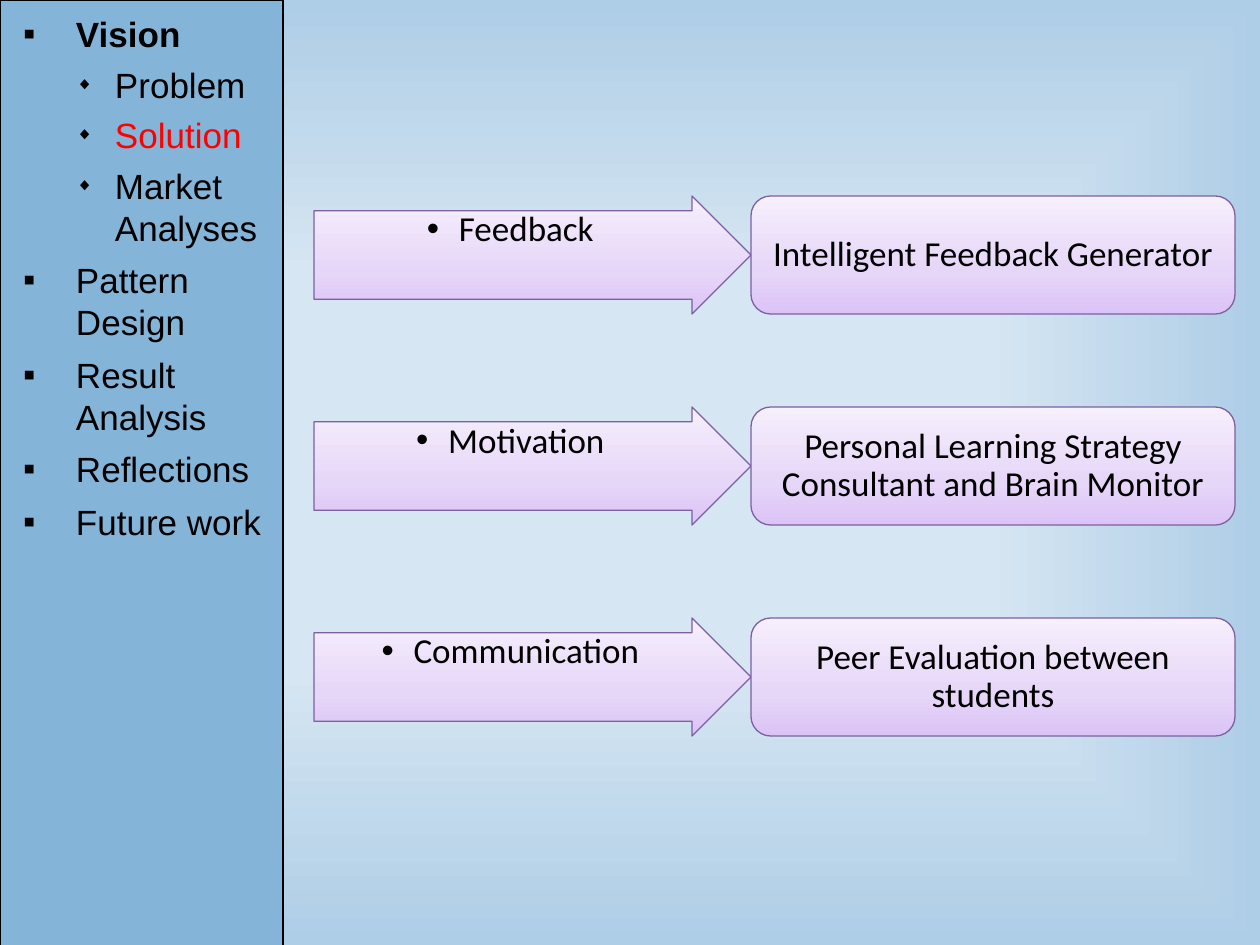
"""Build the solution slide: an outline sidebar beside three need-to-answer arrows."""
from lxml import etree
from pptx import Presentation, util as u
from pptx.dml.color import RGBColor
from pptx.enum import shapes, text
from pptx.oxml import ns

PX = 914400 / 126
BLACK = "000000"
LILAC = [(0, "DBC3F7", 100), (35, "E6D6F8", 100), (100, "F6EFFC", 100)]
SKY = [(42, "D6E6F2", 92), (100, "AECDE6", 100)]
NEEDS = [
    ("Feedback", "Intelligent Feedback Generator"),
    ("Motivation", "Personal Learning Strategy Consultant and Brain Monitor"),
    ("Communication", "Peer Evaluation between students"),
]
OUTLINE = [
    ("Vision", 0), ("Problem", 1), ("Solution", 1), ("Market Analyses", 1),
    ("Pattern Design", 0), ("Result Analysis", 0), ("Reflections", 0), ("Future work", 0),
]


def add_gradient(parent, stops):
    gradient = etree.Element(ns.qn("a:gradFill"), rotWithShape="1")
    stop_list = etree.SubElement(gradient, ns.qn("a:gsLst"))
    for position, color, opacity in stops:
        stop = etree.SubElement(stop_list, ns.qn("a:gs"), pos=str(position * 1000))
        value = etree.SubElement(stop, ns.qn("a:srgbClr"), val=color)
        if opacity < 100:
            etree.SubElement(value, ns.qn("a:alpha"), val=str(opacity * 1000))
    parent.replace(parent.find(ns.qn("a:noFill")), gradient)
    return gradient


def add_bullet(paragraph, character, margin, indent, level, percent=100):
    paragraph.level = level
    properties = paragraph._p.get_or_add_pPr()
    properties.set("marL", str(round(margin * PX)))
    properties.set("indent", str(round(indent * PX)))
    color = etree.SubElement(properties, ns.qn("a:buClr"))
    etree.SubElement(color, ns.qn("a:srgbClr"), val=BLACK)
    etree.SubElement(properties, ns.qn("a:buSzPct"), val=str(percent * 1000))
    etree.SubElement(properties, ns.qn("a:buFont"), typeface="Arial")
    etree.SubElement(properties, ns.qn("a:buChar"), char=character)


presentation = Presentation()
presentation.slide_width = round(1260 * PX)
presentation.slide_height = round(945 * PX)
slide = presentation.slides.add_slide(presentation.slide_layouts[6])

slide.background.fill.background()
sky = add_gradient(next(slide.element.iter(ns.qn("p:bgPr"))), SKY)
sky_path = etree.SubElement(sky, ns.qn("a:path"), attrib={"path": "shape"})
center = dict.fromkeys("ltrb", "50000")
etree.SubElement(sky_path, ns.qn("a:fillToRect"), attrib=center)

for row, (need, answer) in enumerate(NEEDS):
    group = slide.shapes.add_group_shape()
    top = 196 + 211 * row
    for kind, left, width, label in (
        (shapes.MSO_SHAPE.RIGHT_ARROW, 314, 437, need),
        (shapes.MSO_SHAPE.ROUNDED_RECTANGLE, 751, 484, answer),
    ):
        is_arrow = label == need
        box = [round(value * PX) for value in (left, top, width, 118)]
        shape = group.shapes.add_shape(kind, *box)
        shape.shadow.inherit = False
        if is_arrow:
            shape.adjustments[0] = 0.75
        shape.fill.background()
        lilac = add_gradient(shape._element.spPr, LILAC)
        etree.SubElement(lilac, ns.qn("a:lin"), ang="16200000", scaled="0")
        shape.line.color.rgb = RGBColor.from_string("7C60A0")
        shape.line.width = u.Pt(0.75)
        frame = shape.text_frame
        frame.word_wrap = True
        frame.vertical_anchor = text.MSO_ANCHOR.TOP if is_arrow else text.MSO_ANCHOR.MIDDLE
        frame.margin_left = frame.margin_right = round((1 if is_arrow else 10) * PX)
        frame.margin_top = frame.margin_bottom = round((1 if is_arrow else 5) * PX)
        frame.text = label
        paragraph = frame.paragraphs[0]
        if is_arrow:
            add_bullet(paragraph, "•", 32, -32, 1)
        paragraph.alignment = text.PP_ALIGN.CENTER
        paragraph.line_spacing = 0.9
        paragraph.space_after = u.Pt(3 if is_arrow else 7)
        font = paragraph.runs[0].font
        font.name, font.size = "Calibri", u.Pt(20)
        font.color.rgb = RGBColor.from_string(BLACK)

sidebar = slide.shapes.add_shape(
    shapes.MSO_SHAPE.RECTANGLE, 0, 0, round(283 * PX), round(946 * PX))
sidebar.shadow.inherit = False
sidebar.fill.solid()
sidebar.fill.fore_color.rgb = RGBColor.from_string("85B4D9")
sidebar.line.color.rgb = RGBColor.from_string(BLACK)
sidebar.line.width = u.Pt(0.75)
frame = sidebar.text_frame
frame.word_wrap = True
frame.vertical_anchor = text.MSO_ANCHOR.TOP
frame.margin_left = frame.margin_right = round(13 * PX)
frame.margin_top = frame.margin_bottom = round(13 * PX)
frame.text = "\n".join(entry for entry, level in OUTLINE)
for paragraph, (entry, level) in zip(frame.paragraphs, OUTLINE):
    if level:
        add_bullet(paragraph, "◆", 102, -39, level, 50)
    else:
        add_bullet(paragraph, "▪", 63, -53, level)
    paragraph.alignment = text.PP_ALIGN.LEFT
    if entry != "Vision":
        paragraph.space_before = u.Pt(4.8 if level else 6)
    font = paragraph.runs[0].font
    font.name, font.size, font.bold = "Arial", u.Pt(20), entry == "Vision"
    font.color.rgb = RGBColor.from_string("FF0000" if entry == "Solution" else BLACK)

presentation.save("out.pptx")
